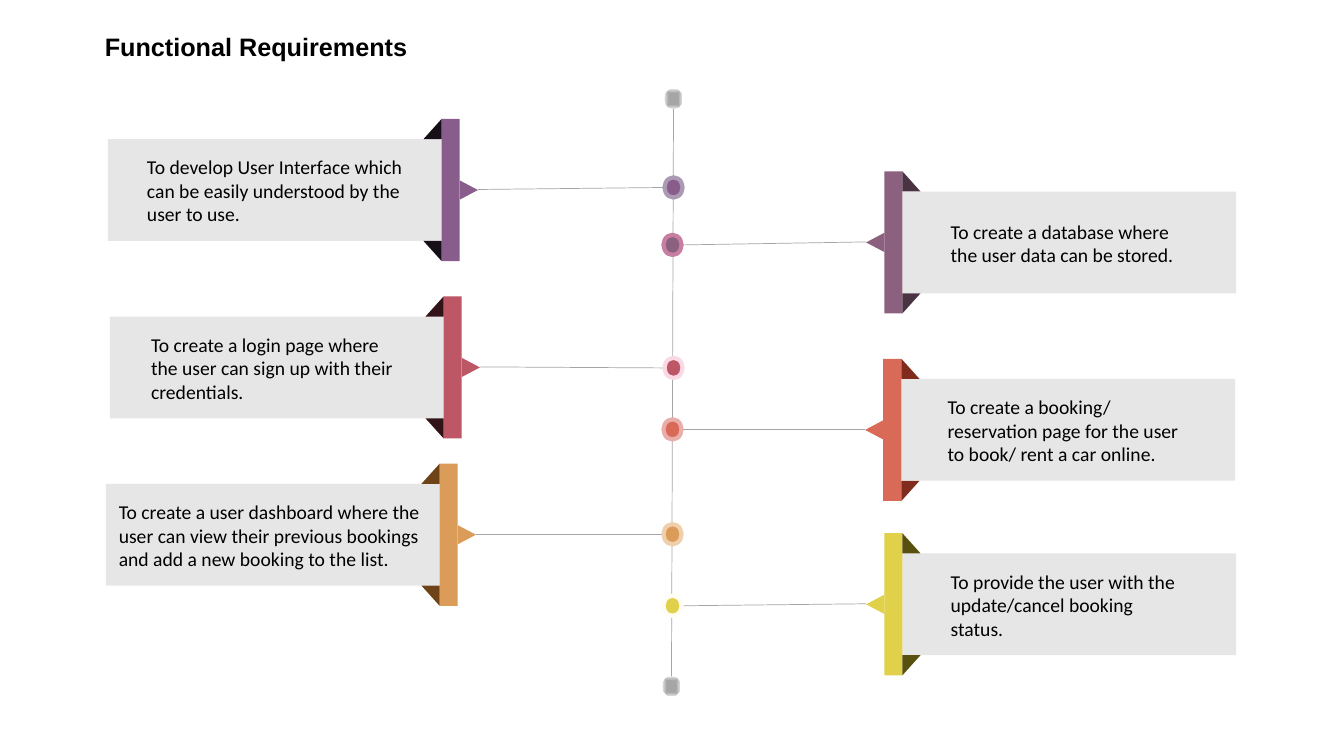
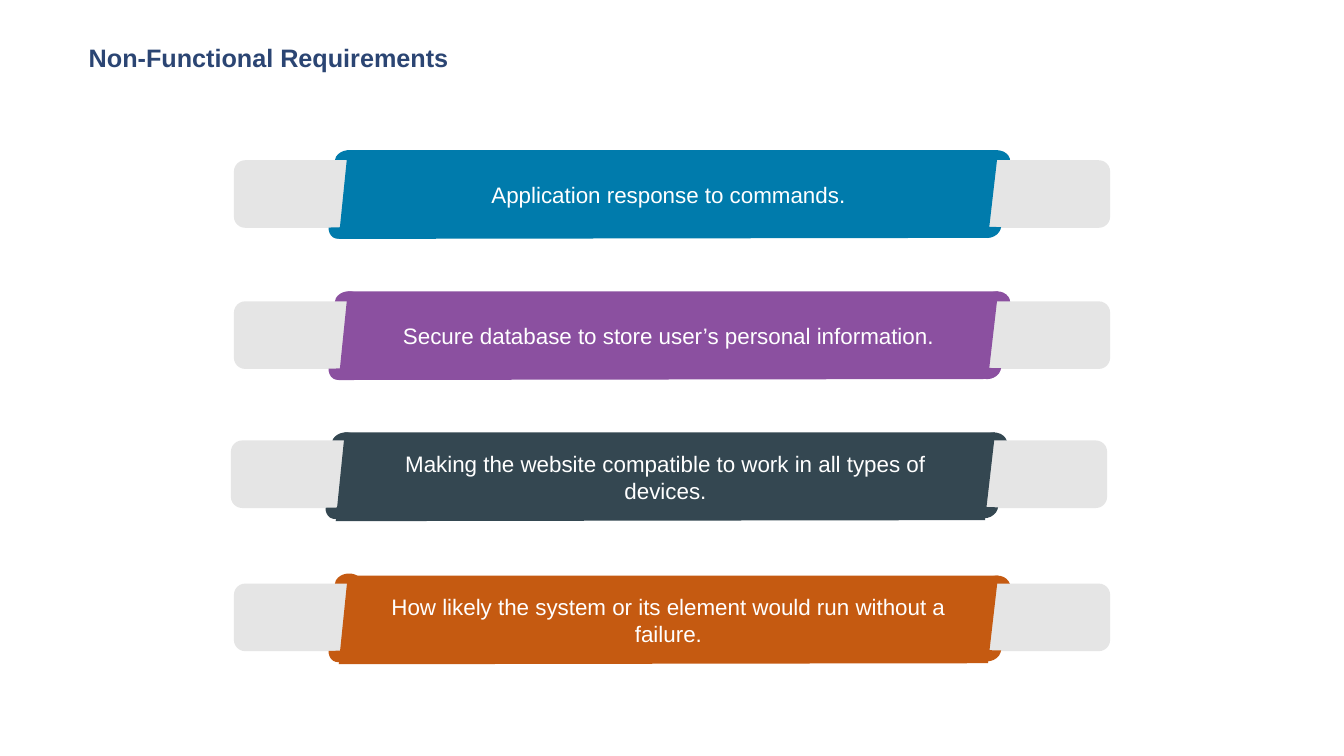
from lxml.etree import SubElement
from pptx import Presentation
from pptx.dml.color import RGBColor
from pptx.enum.shapes import MSO_CONNECTOR as CONN, MSO_SHAPE as SHAPE
from pptx.enum.text import MSO_ANCHOR as ANCHOR, MSO_AUTO_SIZE as AUTO, PP_ALIGN as ALIGN
from pptx.oxml.ns import qn
from pptx.util import Emu, Pt

PX = 9144
C = {
    "black": "000000", "white": "FFFFFF", "navy": "2B4573",
    "card": "E6E6E6", "tab": "E5E5E5", "line": "A5A5A5",
    "cap": "A6A6A6", "cap_edge": "E4E4E4",
    "purple": "885D8B", "purple_fold": "160F17", "purple_ring": "AC99B3",
    "mauve": "8C617F", "mauve_fold": "4A3443", "mauve_ring": "C87EA0",
    "rose": "BD5665", "rose_fold": "321418", "rose_ring": "FBD8E6",
    "coral": "D96A57", "coral_fold": "812B1D", "coral_ring": "E9ADAA",
    "amber": "DB9B59", "amber_fold": "6E4318", "amber_ring": "EFCFAC",
    "yellow": "E1D049", "yellow_fold": "59500F", "yellow_ring": "FFFDF3",
    "blue": "007BAC", "violet": "8B50A0", "slate": "344751", "orange": "C55A11",
}

# side, colour, card x, card y, dot x, dot y, text x, text width, text
REQUIREMENTS = [
    ("left", "purple", 107, 138, 668, 186, 136, 274,
     "To develop User Interface which can be easily understood by the user to use."),
    ("right", "mauve", 895, 190, 667, 243, 933, 255,
     "To create a database where the user data can be stored."),
    ("left", "rose", 109, 314, 668, 365, 140, 268,
     "To create a login page where the user can sign up with their credentials."),
    ("right", "coral", 894, 376, 667, 426, 930, 260,
     "To create a booking/ reservation page for the user to book/ rent a car online."),
    ("left", "amber", 105, 480, 667, 530, 108, 324,
     "To create a user dashboard where the user can view their previous bookings "
     "and add a new booking to the list."),
    ("right", "yellow", 895, 549, 667, 601, 933, 255,
     "To provide the user with the update/cancel booking status."),
]
CAPS = [(668, 98), (666, 681)]
CARD_W, CARD_H, STRIP_W, FOLD_H, DOT_W, DOT_H = 331, 101, 18, 20, 18, 20

# colour, x, y, tab offset, left corner offset, text
BANDS = [
    ("blue", 336, 149, 10, 0, "Application response to commands."),
    ("violet", 336, 289, 10, 0, "Secure database to store user’s personal information."),
    ("slate", 333, 429, 8, 0,
     "Making the website compatible to work in all types of devices."),
    ("orange", 336, 571, 8, -2,
     "How likely the system or its element would run without a failure."),
]


def px(*lengths):
    return [Emu(round(n * PX)) for n in lengths]


def rgb(name):
    return RGBColor.from_string(C[name])


def paint(sp, fill, ring=None):
    sp.shadow.inherit = False
    sp.fill.solid()
    sp.fill.fore_color.rgb = rgb(fill)
    if ring:
        sp.line.color.rgb = rgb(ring)
        sp.line.width = Pt(3)
    else:
        sp.line.fill.background()
    return sp


def shape(shapes, kind, x, y, w, h, fill, rot=0, ring=None):
    sp = paint(shapes.add_shape(kind, *px(x, y, w, h)), fill, ring)
    sp.rotation = rot
    return sp


def centred(shapes, kind, cx, cy, w, h, fill, rot=0, ring=None):
    return shape(shapes, kind, cx - w / 2, cy - h / 2, w, h, fill, rot, ring)


def line(shapes, x1, y1, x2, y2):
    cn = shapes.add_connector(CONN.STRAIGHT, *px(x1, y1, x2, y2))
    cn.line.color.rgb = rgb("line")
    cn.line.width = Pt(0.5)
    SubElement(cn.element.spPr, qn("a:effectLst"))


def write(tf, text, size, font, color, align=ALIGN.LEFT, bold=False):
    tf.word_wrap = True
    tf.auto_size = AUTO.NONE
    tf.vertical_anchor = ANCHOR.MIDDLE
    tf.text = text
    p = tf.paragraphs[0]
    p.alignment = align
    f = p.runs[0].font
    f.size, f.name, f.bold = Pt(size), font, bold
    f.color.rgb = rgb(color)


def new_slide(prs, title, x, y, w, color):
    s = prs.slides.add_slide(prs.slide_layouts[5])
    t = s.shapes.title
    t.left, t.top, t.width, t.height = px(x, y, w, 40)
    write(t.text_frame, title, 18, "Arial", color, bold=True)
    return s.shapes


def cap(shapes, cx, cy):
    sp = centred(shapes, SHAPE.OVAL, cx, cy, DOT_W, DOT_H, "cap")
    sp.fill.gradient()
    for stop, position, color in zip(sp.fill.gradient_stops, (0.52, 1), ("cap", "cap_edge")):
        stop.position = position
        stop.color.rgb = rgb(color)
    grad = sp.element.spPr.find(qn("a:gradFill"))
    grad.remove(grad.find(qn("a:lin")))
    shade = SubElement(grad, qn("a:path"), {"path": "shape"})
    SubElement(shade, qn("a:fillToRect"), dict.fromkeys("ltrb", "50000"))


def card(shapes, side, color, x, y, text_x, text_w, text):
    mid = y + CARD_H / 2
    if side == "left":
        strip, out, turns = x + CARD_W, 1, (270, 180)
    else:
        strip, out, turns = x - STRIP_W, -1, (0, 90)
    strip_mid = strip + STRIP_W / 2
    shape(shapes, SHAPE.RECTANGLE, x, y, CARD_W, CARD_H, "card")
    shape(shapes, SHAPE.RECTANGLE, strip, y - FOLD_H, STRIP_W, CARD_H + 2 * FOLD_H, color)
    for rot, fold_y in zip(turns, (y - FOLD_H / 2, y + CARD_H + FOLD_H / 2)):
        size = (FOLD_H, STRIP_W) if rot % 180 else (STRIP_W, FOLD_H)
        centred(shapes, SHAPE.RIGHT_TRIANGLE, strip_mid - out * STRIP_W, fold_y, *size,
                color + "_fold", rot)
    centred(shapes, SHAPE.ISOSCELES_TRIANGLE, strip_mid + out * STRIP_W, mid, 19, 18,
            color, 90 * out % 360)
    box = shapes.add_textbox(*px(text_x, mid - 40, text_w, 81))
    write(box.text_frame, text, 14, "Calibri", "black")


def functional(prs):
    shapes = new_slide(prs, "Functional Requirements", 94, 26, 836, "black")
    for side, _, x, y, dot_x, dot_y, *_ in REQUIREMENTS:
        if side == "left":
            line(shapes, x + CARD_W + 2 * STRIP_W, y + 50, dot_x - DOT_W / 2, dot_y)
        else:
            line(shapes, dot_x + DOT_W / 2, dot_y, x - 2 * STRIP_W, y + 50)
    line(shapes, 668, 108, 666, 671)
    for cx, cy in CAPS:
        cap(shapes, cx, cy)
    for _, color, _, _, dot_x, dot_y, *_ in REQUIREMENTS:
        centred(shapes, SHAPE.OVAL, dot_x, dot_y, DOT_W, DOT_H, color, ring=color + "_ring")
    for side, color, x, y, _, _, text_x, text_w, text in REQUIREMENTS:
        card(shapes, side, color, x, y, text_x, text_w, text)


def corner(shapes, x, y, w, h, color, rot, start, end=0):
    sp = shape(shapes, SHAPE.ARC, x, y, w, h, color, rot)
    sp.adjustments[0] = start
    sp.adjustments[1] = end


def band(shapes, color, x, y, tab_dy, corner_dy, text):
    low = y + tab_dy + 55
    corner(shapes, x + 640, y, 26, 22, color, 0, 117.2)
    corner(shapes, x - 4, y + corner_dy, 27, 21, color, 353.4, 111.72)
    shape(shapes, SHAPE.ROUNDED_RECTANGLE, x - 104, y + tab_dy, 869, 67, "tab")
    outline = shapes.build_freeform(x + 9, y, scale=PX)
    outline.add_line_segments([(x + 654, y), (x + 644, y + 87), (x, y + 88)], close=True)
    paint(outline.convert_to_shape(), color)
    corner(shapes, x + 631, low, 26, 22, color, 166.1, 117.2)
    corner(shapes, x - 10, low, 20, 23, color, 197.2, 94.8, 205.02)
    box = shapes.add_textbox(*px(x + 19, y + 12, 616, 64))
    write(box.text_frame, text, 16, "Arial", "white", ALIGN.CENTER)


def non_functional(prs):
    shapes = new_slide(prs, "Non-Functional Requirements", 78, 37, 843, "navy")
    for row in BANDS:
        band(shapes.add_group_shape().shapes, *row)


def main():
    prs = Presentation()
    prs.slide_width, prs.slide_height = px(1333, 750)
    functional(prs)
    non_functional(prs)
    prs.save("out.pptx")


if __name__ == "__main__":
    main()
